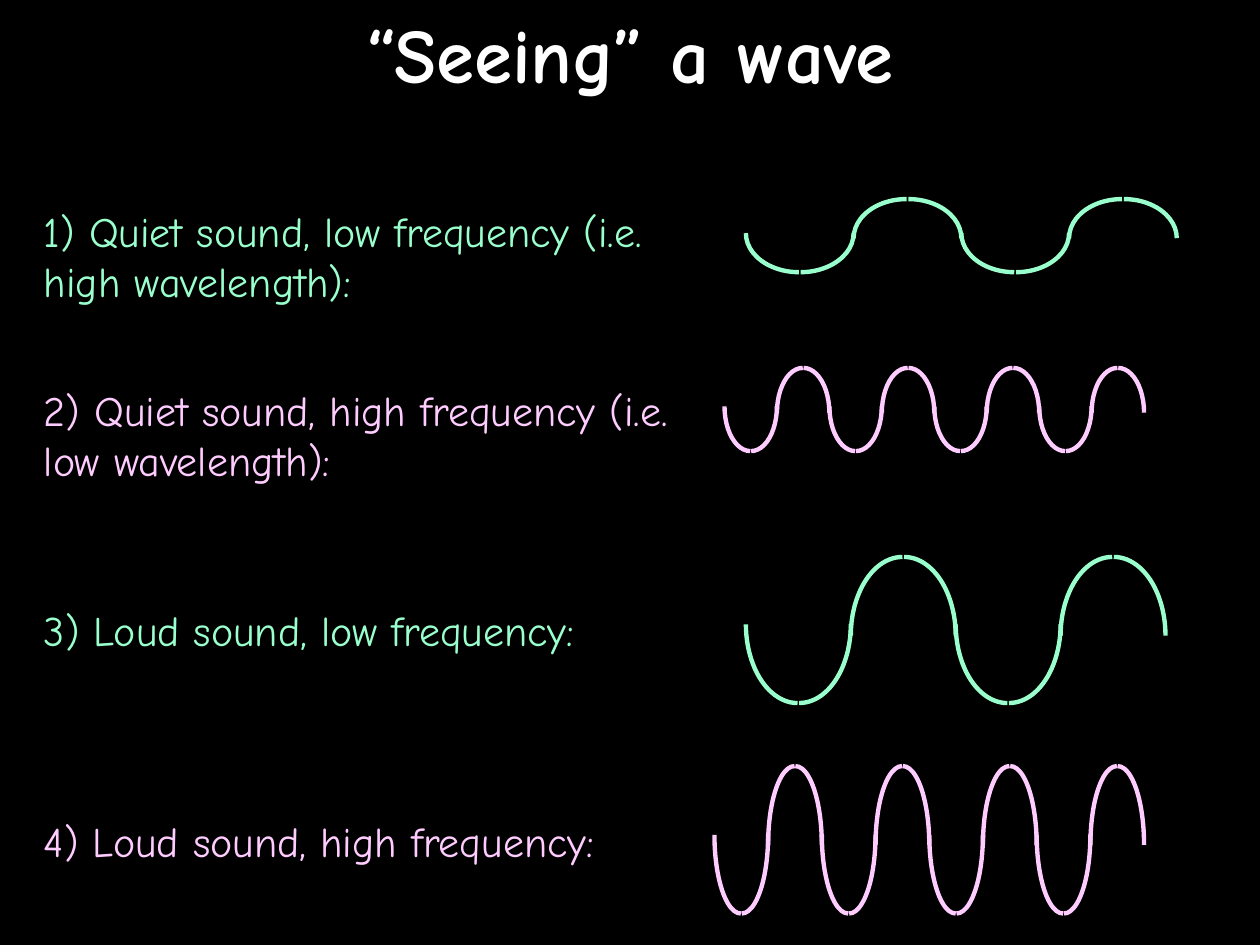
"""Build a slide that compares sound waves by loudness and frequency."""
import pptx
import pptx.dml.color
import pptx.enum.shapes
import pptx.enum.text
import pptx.util

Inches = pptx.util.Inches
BLACK = pptx.dml.color.RGBColor(0x00, 0x00, 0x00)
WHITE = pptx.dml.color.RGBColor(0xFF, 0xFF, 0xFF)
MINT = pptx.dml.color.RGBColor(0x99, 0xFF, 0xCC)
PINK = pptx.dml.color.RGBColor(0xFF, 0xCC, 0xFF)
QUARTER_TURN = 54
LOW_RIGHT, LOW_LEFT, HIGH_LEFT, HIGH_RIGHT = range(4)

SOUNDS = [
    {
        "label": ("1) Quiet sound, low frequency (i.e. high wavelength):", 1.58, 5.42, 0.9),
        "wave": {"left": 5.92, "span": 3.42, "halves": 4, "width": 0.84,
                 "height": 0.62, "trough_top": 1.54, "crest_top": 1.58},
        "color": MINT,
    },
    {
        "label": ("2) Quiet sound, high frequency (i.e. low wavelength):", 3, 5.33, 0.9),
        "wave": {"left": 5.75, "span": 3.33, "halves": 8, "width": 0.41,
                 "height": 0.71, "trough_top": 2.87, "crest_top": 2.92},
        "color": PINK,
    },
    {
        "label": ("3) Loud sound, low frequency:", 4.75, 5, 0.5),
        "wave": {"left": 5.92, "span": 3.33, "halves": 4, "width": 0.82,
                 "height": 1.25, "trough_top": 4.33, "crest_top": 4.42},
        "color": MINT,
    },
    {
        "label": ("4) Loud sound, high frequency:", 6.42, 5.25, 0.5),
        "wave": {"left": 5.67, "span": 3.41, "halves": 8, "width": 0.42,
                 "height": 1.25, "trough_top": 6, "crest_top": 6.08},
        "color": PINK,
    },
]


class WavePage:
    """Hold the style and the slide, and draw each kind of element."""

    font = "Comic Neue"
    title_size = pptx.util.Pt(44)
    label_size = pptx.util.Pt(24)
    line_width = pptx.util.Pt(2.5)

    def __init__(self, page):
        """Take the slide and paint its background."""
        self.page = page
        page.background.fill.solid()
        page.background.fill.fore_color.rgb = BLACK

    def text(self, words, left, top, width, height, size, color):
        """Add a wrapped text box and return it."""
        box = self.page.shapes.add_textbox(
            Inches(left), Inches(top), Inches(width), Inches(height))
        box.text_frame.word_wrap = True
        box.text_frame.text = words
        span = box.text_frame.paragraphs[0].runs[0]
        span.font.name = self.font
        span.font.size = size
        span.font.color.rgb = color
        return box

    def title(self, words):
        """Add the bold, centred heading."""
        box = self.text(words, 0, 0, 10, 0.84, self.title_size, WHITE)
        box.text_frame.vertical_anchor = pptx.enum.text.MSO_ANCHOR.MIDDLE
        paragraph = box.text_frame.paragraphs[0]
        paragraph.alignment = pptx.enum.text.PP_ALIGN.CENTER
        paragraph.runs[0].font.bold = True

    def label(self, words, top, width, height, color):
        """Add the description of one sound."""
        box = self.text(words, 0.25, top, width, height, self.label_size, color)
        box.text_frame.auto_size = pptx.enum.text.MSO_AUTO_SIZE.SHAPE_TO_FIT_TEXT

    def quarter(self, group, quadrant, left, top, width, height, color):
        """Add a quarter of an ellipse to a wave."""
        arc = group.shapes.add_shape(
            pptx.enum.shapes.MSO_SHAPE.ARC,
            Inches(left), Inches(top), Inches(width), Inches(height))
        arc.adjustments[0] = quadrant * QUARTER_TURN
        arc.adjustments[1] = (quadrant + 1) % 4 * QUARTER_TURN
        arc.shadow.inherit = False
        arc.fill.background()
        arc.line.color.rgb = color
        arc.line.width = self.line_width

    def wave(self, left, span, halves, width, height, trough_top, crest_top, color):
        """Add a wave of alternating troughs and crests as one group."""
        group = self.page.shapes.add_group_shape()
        pitch = span / halves
        for half in range(halves):
            start = left + half * pitch
            if half % 2 == 0:
                top, right_side, left_side = trough_top, LOW_RIGHT, LOW_LEFT
            else:
                top, right_side, left_side = crest_top, HIGH_RIGHT, HIGH_LEFT
            self.quarter(group, right_side, start + pitch - width, top, width, height, color)
            self.quarter(group, left_side, start, top, width, height, color)


def main():
    """Build and save the deck."""
    deck = pptx.Presentation()
    deck.slide_width, deck.slide_height = Inches(10), Inches(7.5)
    wave_page = WavePage(deck.slides.add_slide(deck.slide_layouts[6]))
    wave_page.title("“Seeing” a wave")
    for sound in SOUNDS:
        wave_page.label(*sound["label"], sound["color"])
        wave_page.wave(**sound["wave"], color=sound["color"])
    deck.save("out.pptx")


if __name__ == "__main__":
    main()
